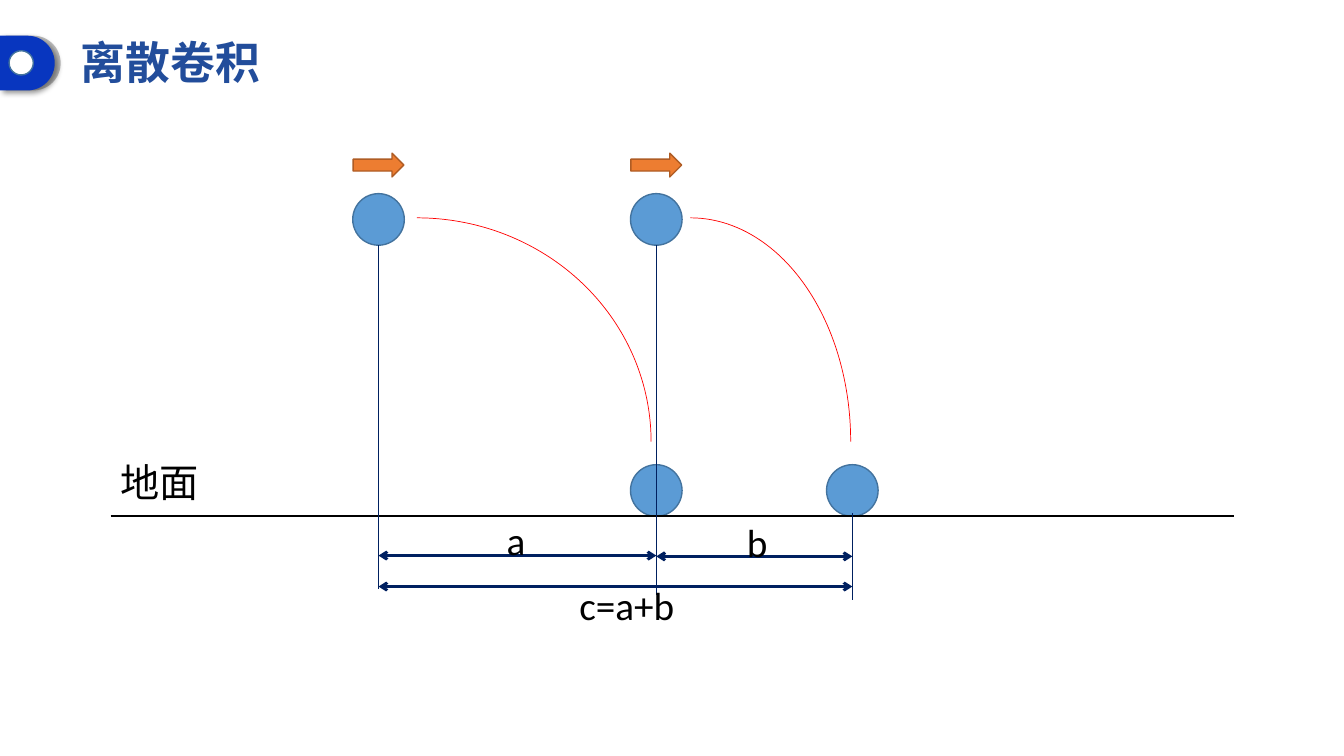
from lxml import etree
from pptx import Presentation, util as u
from pptx.dml.color import RGBColor
from pptx.enum import shapes, text
from pptx.oxml.ns import qn

BLUE, BLUE_EDGE, NAVY = "5B9BD5", "43739E", "002060"
CJK = "Noto Sans CJK SC"
FIRST, SECOND, THIRD = 9.54, 16.54, 21.48
BALL = 1.3
TOP, GROUND = 4.88, 13.01
KIND = shapes.MSO_SHAPE


def paint(fmt, colour):
    """Give a fill or font colour format a hex colour."""
    fmt.rgb = RGBColor.from_string(colour)


def add_shape(s, kind, x, y, w, h, fill=None, line=None, weight=1):
    """Add a preset shape with an optional fill and outline."""
    sp = s.shapes.add_shape(kind, u.Cm(x), u.Cm(y), u.Cm(w), u.Cm(h))
    sp.shadow.inherit = False
    if fill:
        sp.fill.solid()
        paint(sp.fill.fore_color, fill)
    else:
        sp.fill.background()
    if line:
        paint(sp.line.color, line)
        sp.line.width = u.Pt(weight)
    else:
        sp.line.fill.background()
    return sp


def add_shadow(sp):
    """Give a shape a soft shadow to the lower right."""
    effects = sp._element.spPr.find(qn("a:effectLst"))
    shadow = etree.SubElement(effects, qn("a:outerShdw"), blurRad=str(u.Pt(4)),
                              dist=str(u.Pt(3)), dir="2700000", algn="tl")
    colour = etree.SubElement(shadow, qn("a:srgbClr"), val="000000")
    etree.SubElement(colour, qn("a:alpha"), val="40000")


def add_line(s, x1, y1, x2, y2, colour, weight, arrows=False):
    """Add a straight line, with arrowheads at both ends if asked."""
    cn = s.shapes.add_connector(shapes.MSO_CONNECTOR.STRAIGHT,
                                u.Cm(x1), u.Cm(y1), u.Cm(x2), u.Cm(y2))
    paint(cn.line.color, colour)
    cn.line.width = u.Pt(weight)
    if arrows:
        for end in ("a:headEnd", "a:tailEnd"):
            etree.SubElement(cn.line._get_or_add_ln(), qn(end), type="arrow")
    etree.SubElement(cn._element.spPr, qn("a:effectLst"))


def write(sp, words, size, font, colour, bold=False):
    """Put one left-aligned formatted paragraph into a shape."""
    tf = sp.text_frame
    tf.word_wrap = True
    tf.text = words
    p = tf.paragraphs[0]
    p.alignment = text.PP_ALIGN.LEFT
    p.font.size, p.font.name, p.font.bold = u.Pt(size), font, bold
    paint(p.font.color, colour)
    for r in p.runs:
        etree.SubElement(r.font._element, qn("a:latin"), typeface=font)
        etree.SubElement(r.font._element, qn("a:ea"), typeface=font)


def add_label(s, words, x, y, w, font="Calibri"):
    """Add a black text label."""
    sp = s.shapes.add_textbox(u.Cm(x), u.Cm(y), u.Cm(w), u.Cm(1.45))
    write(sp, words, 28, font, "000000")


def add_title(s, words):
    """Place the title and the marker to its left."""
    add_shape(s, KIND.FLOWCHART_DELAY, 0.15, 0.9, 1.38, 1.38, "BFBFBF")
    add_shadow(add_shape(s, KIND.FLOWCHART_DELAY, 0, 0.9, 1.38, 1.38, "0836BF"))
    add_shape(s, KIND.OVAL, 0.23, 1.28, 0.61, 0.61, "FFFFFF", BLUE_EDGE)
    title = s.shapes.title
    title.left, title.top, title.width, title.height = map(
        u.Cm, (1.78, 0.74, 21.82, 1.63))
    title.text_frame.vertical_anchor = text.MSO_ANCHOR.MIDDLE
    write(title, words, 32, CJK, "224D9B", True)


def main():
    """Build the slide on discrete convolution."""
    prs = Presentation()
    prs.slide_width, prs.slide_height = u.Cm(33.87), u.Cm(19.05)
    s = prs.slides.add_slide(prs.slide_layouts[5])
    add_title(s, "离散卷积")

    landing = GROUND - BALL
    for x, y in ((FIRST, TOP), (SECOND, landing), (SECOND, TOP), (THIRD, landing)):
        add_shape(s, KIND.OVAL, x - BALL / 2, y, BALL, BALL, BLUE, BLUE_EDGE)
    for x in (FIRST, SECOND):
        add_shape(s, KIND.RIGHT_ARROW, x - 0.64, 3.86, 1.28, 0.6, "ED7D31", "AF5C24")

    add_line(s, 2.79, GROUND, 31.09, GROUND, "000000", 1.5)
    add_label(s, "地面", 2.79, 11.43, 4.95, CJK)
    for x, w in ((4.6, 11.81), (13.36, 8.08)):
        add_shape(s, KIND.ARC, x, 5.49, w, 11.28, line="FF0000", weight=0.5)

    drop = TOP + BALL
    for x, y1, y2 in ((FIRST, drop, 14.83), (SECOND, drop, 14.99), (THIRD, 12.93, 15.11)):
        add_line(s, x, y1, x, y2, NAVY, 0.5)
    for x1, x2, y in ((FIRST, SECOND, 14), (SECOND, THIRD, 14.02), (FIRST, THIRD, 14.78)):
        add_line(s, x1, y, x2, y, NAVY, 2, arrows=True)
    for words, x, y, w in (("a", 12.52, 12.88, 1.63), ("b", 18.57, 12.93, 1.83),
                           ("c=a+b", 14.35, 14.53, 8.36)):
        add_label(s, words, x, y, w)

    prs.save("out.pptx")


if __name__ == "__main__":
    main()
